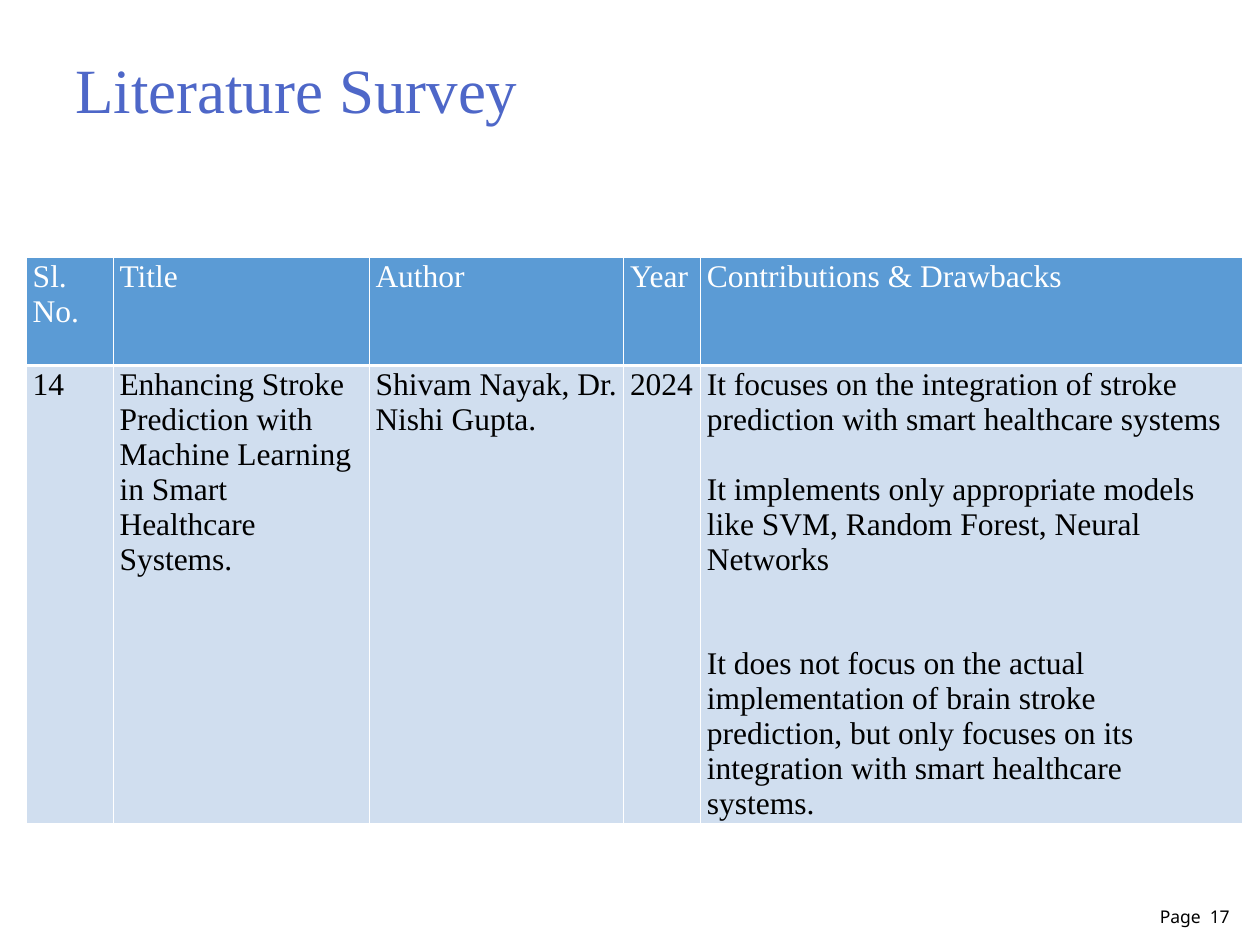
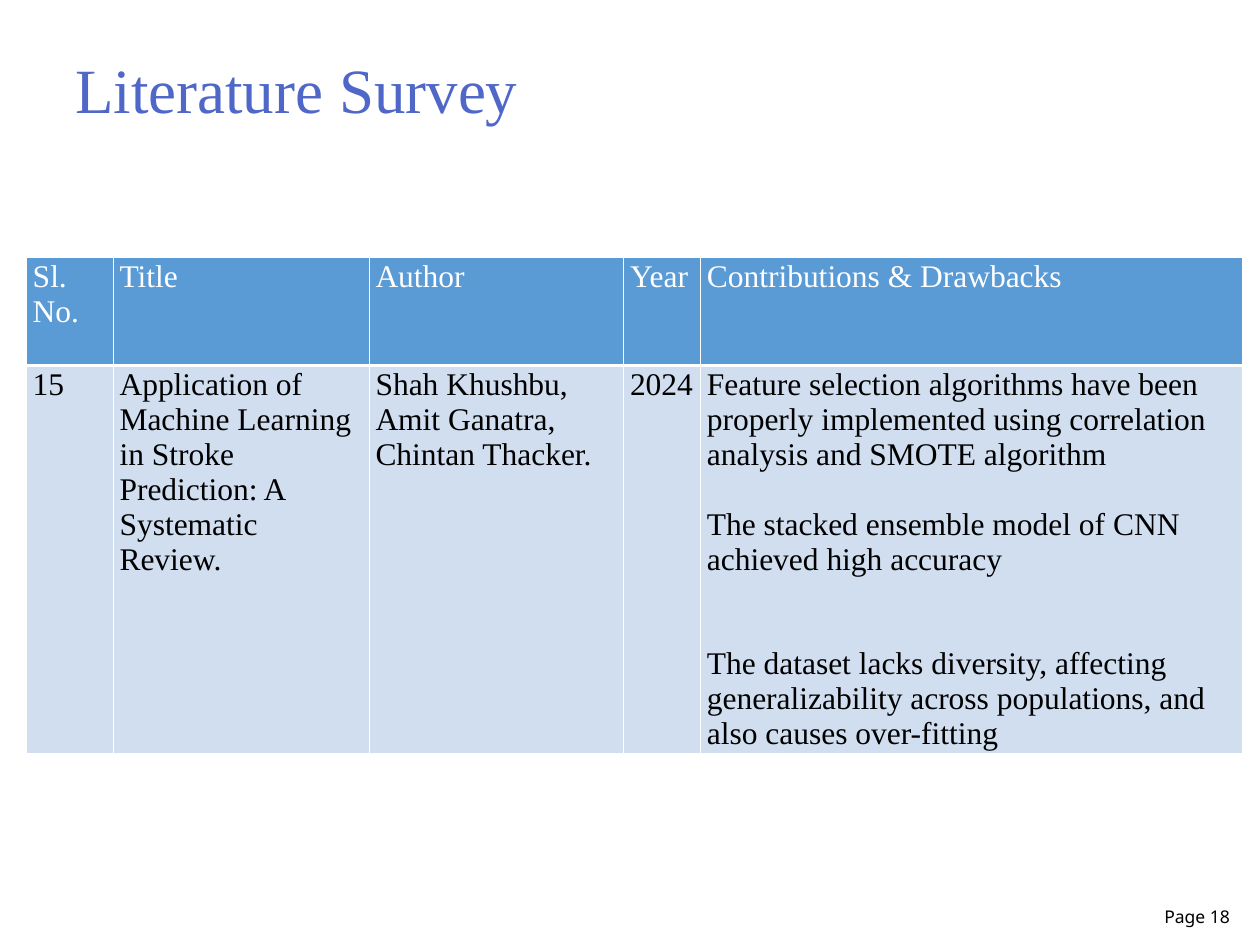
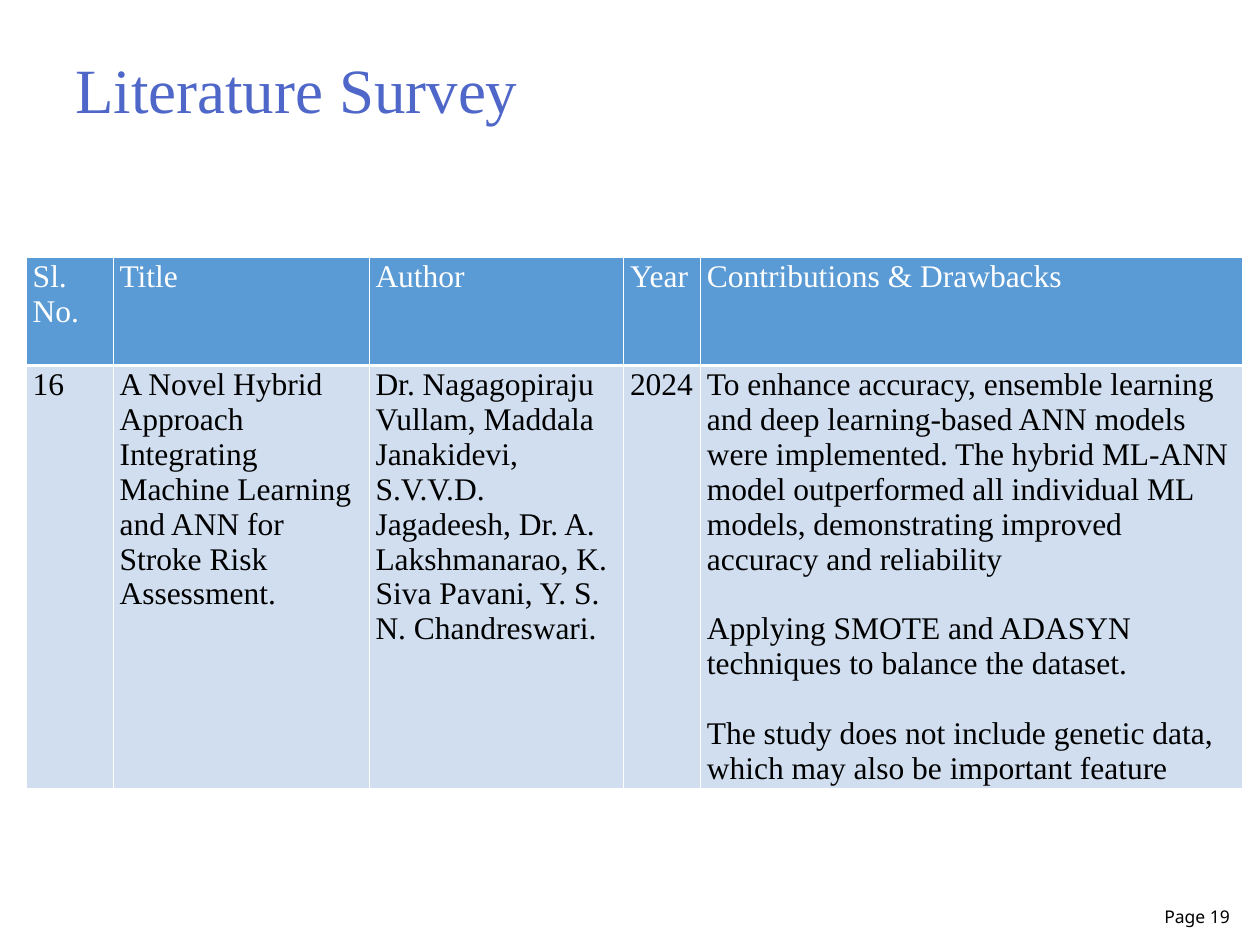
from lxml.etree import SubElement
from pptx import Presentation
from pptx.dml.color import RGBColor
from pptx.enum.text import MSO_ANCHOR, MSO_AUTO_SIZE, PP_ALIGN
from pptx.oxml.ns import qn
from pptx.util import Cm, Pt

TITLE = "Literature Survey"
HEADS = ["Sl. No.", "Title", "Author", "Year", "Contributions & Drawbacks"]
PAPERS = [
    {
        "page": "Page  17",
        "cells": ["14",
                  "Enhancing Stroke Prediction with Machine Learning in Smart Healthcare Systems.",
                  "Shivam Nayak, Dr. Nishi Gupta.",
                  "2024"],
        "notes": [
            (0, "It focuses on the integration of stroke prediction with smart healthcare systems"),
            (1, "It implements only appropriate models like SVM, Random Forest, Neural Networks"),
            (2, "It does not focus on the actual implementation of brain stroke prediction, "
                "but only focuses on its integration with smart healthcare systems."),
        ],
    },
    {
        "page": "Page 18",
        "cells": ["15",
                  "Application of Machine Learning in Stroke Prediction: A Systematic Review.",
                  "Shah Khushbu, Amit Ganatra, Chintan Thacker.",
                  "2024"],
        "notes": [
            (0, "Feature selection algorithms have been properly implemented using "
                "correlation analysis and SMOTE algorithm"),
            (1, "The stacked ensemble model of CNN achieved high accuracy"),
            (2, "The dataset lacks diversity, affecting generalizability across populations, "
                "and also causes over-fitting"),
        ],
    },
    {
        "page": "Page 19",
        "cells": ["16",
                  "A Novel Hybrid Approach Integrating Machine Learning and ANN for "
                  "Stroke Risk Assessment.",
                  "Dr. Nagagopiraju Vullam, Maddala Janakidevi, S.V.V.D. Jagadeesh, "
                  "Dr. A. Lakshmanarao, K. Siva Pavani, Y. S. N. Chandreswari.",
                  "2024"],
        "notes": [
            (0, "To enhance accuracy, ensemble learning and deep learning-based ANN models "
                "were implemented. The hybrid ML-ANN model outperformed all individual ML "
                "models, demonstrating improved accuracy and reliability"),
            (1, "Applying SMOTE and ADASYN techniques to balance the dataset."),
            (1, "The study does not include genetic data, which may also be important feature"),
        ],
    },
]

COLORS = {"title": "4E67C8", "head": "5B9BD5", "body": "D0DEEF",
          "white": "FFFFFF", "black": "000000"}
SERIF, SANS = "Times New Roman", "Noto Sans"
WIDTHS = [1.75, 5.16, 5.13, 1.55, 10.92]
HEIGHTS = [2.18, 7.59]
LINE = 19.93
THIN, THICK = 0.75, 2


def color(name):
    return RGBColor.from_string(COLORS[name])


def write(para, text, font, size, tint):
    run = para.add_run()
    run.text = text
    run.font.name = font
    run.font.size = Pt(size)
    run.font.bold = False
    run.font.color.rgb = color(tint)


def place(shape, left, top, width, height):
    shape.left, shape.top = Cm(left), Cm(top)
    shape.width, shape.height = Cm(width), Cm(height)


def add_title(slide):
    title = slide.shapes.title
    place(title, 0, 0.58, 19.1, 2.39)
    frame = title.text_frame
    frame.auto_size = MSO_AUTO_SIZE.NONE
    frame.vertical_anchor = MSO_ANCHOR.MIDDLE
    frame.margin_left = Cm(1.52)
    para = frame.paragraphs[0]
    para.alignment = PP_ALIGN.LEFT
    write(para, TITLE, SERIF, 36, "title")


def add_page(slide, text):
    box = slide.shapes.add_textbox(Cm(22.8), Cm(17.8), Cm(2.24), Cm(1.02))
    frame = box.text_frame
    frame.word_wrap = True
    frame.vertical_anchor = MSO_ANCHOR.BOTTOM
    para = frame.paragraphs[0]
    para.alignment = PP_ALIGN.RIGHT
    write(para, text, SANS, 10, "black")


def add_edges(cell, top, bottom):
    props = cell._tc.get_or_add_tcPr()
    for side, width in zip("LRTB", (THIN, THIN, top, bottom)):
        line = SubElement(props, qn(f"a:ln{side}"), w=str(Pt(width)))
        fill = SubElement(line, qn("a:solidFill"))
        SubElement(fill, qn("a:srgbClr"), val=COLORS["white"])


def fill_cell(cell, notes, is_head):
    add_edges(cell, *((THIN, THICK) if is_head else (THICK, THIN)))
    cell.fill.solid()
    cell.fill.fore_color.rgb = color("head" if is_head else "body")
    cell.margin_left = cell.margin_right = Cm(0.13)
    cell.margin_top = cell.margin_bottom = Cm(0.05)
    frame = cell.text_frame
    for i, (gap, text) in enumerate(notes):
        para = frame.add_paragraph() if i else frame.paragraphs[0]
        para.space_before = Pt(gap * LINE)
        write(para, text, SERIF, 18, "white" if is_head else "black")


def add_survey(slide, paper):
    rows = [[[(0, text)] for text in HEADS],
            [[(0, text)] for text in paper["cells"]] + [paper["notes"]]]
    table = slide.shapes.add_table(
        len(rows), len(HEADS), Cm(0.53), Cm(5.18),
        Cm(sum(WIDTHS)), Cm(sum(HEIGHTS))).table
    table.horz_banding = False
    for col, width in zip(table.columns, WIDTHS):
        col.width = Cm(width)
    for r, row in enumerate(rows):
        table.rows[r].height = Cm(HEIGHTS[r])
        for c, notes in enumerate(row):
            fill_cell(table.cell(r, c), notes, r == 0)


def main():
    deck = Presentation()
    deck.slide_width, deck.slide_height = Cm(25.4), Cm(19.05)
    for paper in PAPERS:
        slide = deck.slides.add_slide(deck.slide_layouts[5])
        add_title(slide)
        add_survey(slide, paper)
        add_page(slide, paper["page"])
    deck.save("out.pptx")


if __name__ == "__main__":
    main()
